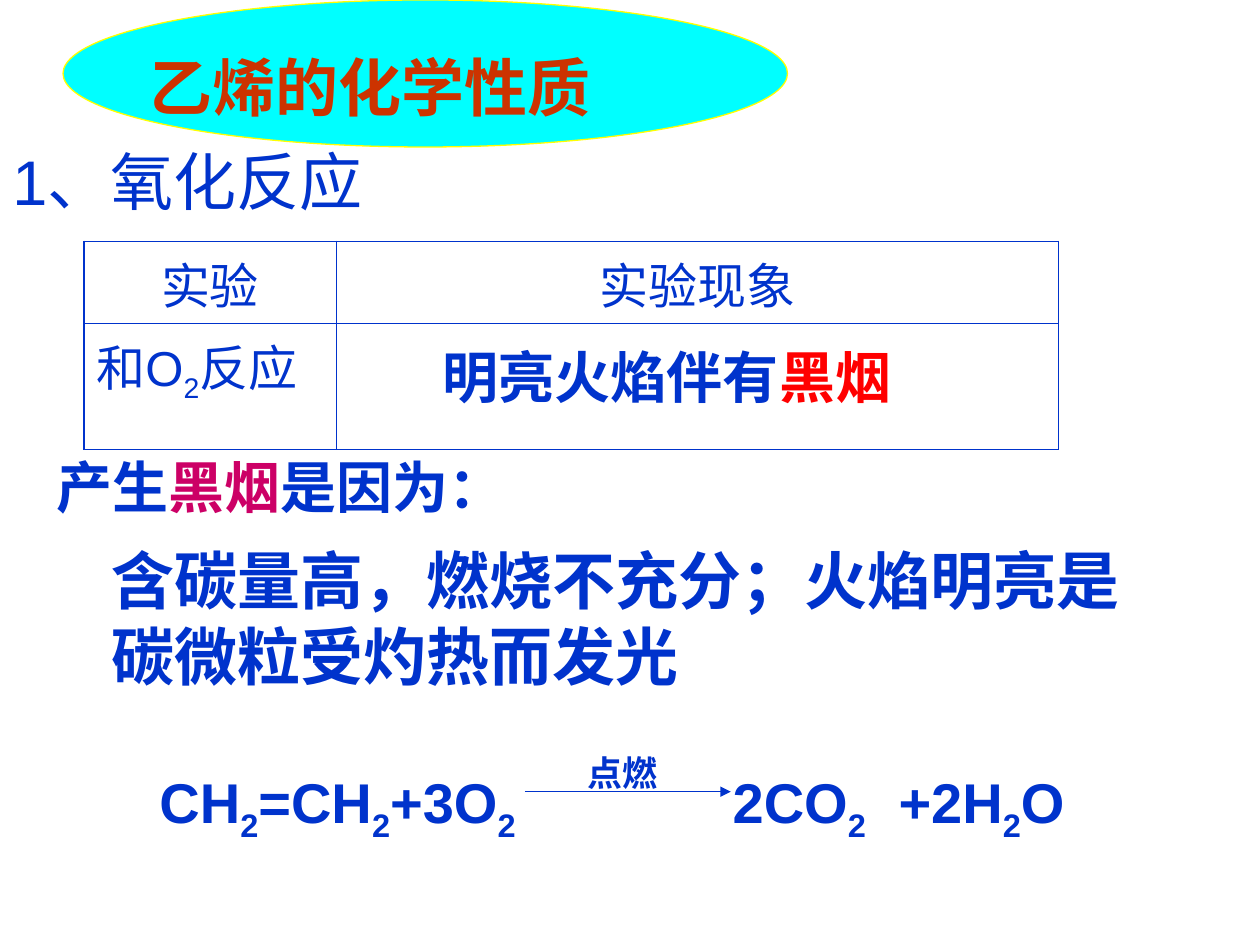
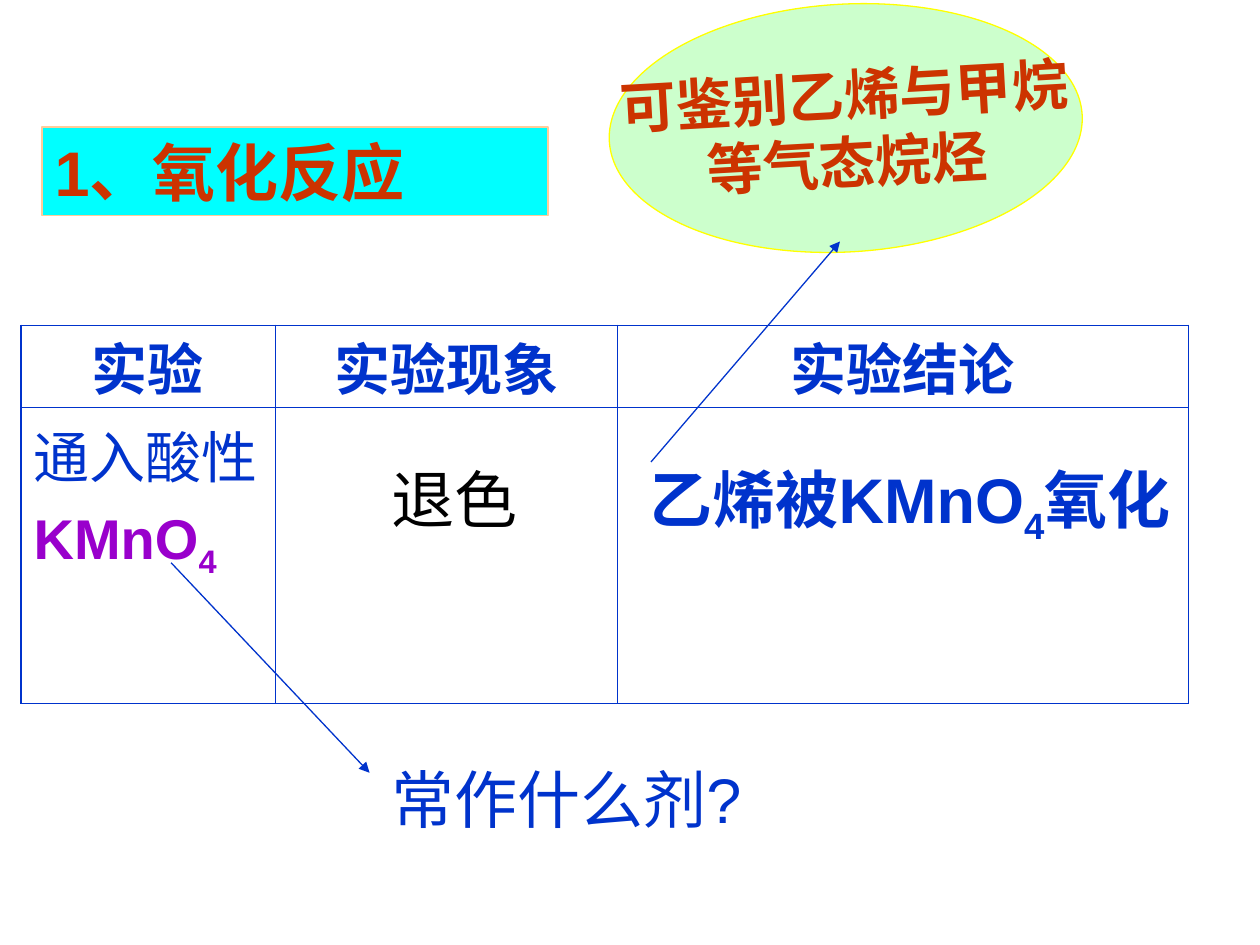
from lxml import etree
from pptx import Presentation
from pptx import util as u
from pptx.dml.color import RGBColor
from pptx.enum import shapes, text
from pptx.oxml import parse_xml
from pptx.oxml.ns import nsdecls, qn

BLUE = RGBColor(0x00, 0x33, 0xCC)
RUST = RGBColor(0xCC, 0x33, 0x00)
RED = RGBColor(0xFF, 0x00, 0x00)
MAGENTA = RGBColor(0xCC, 0x00, 0x66)
PURPLE = RGBColor(0x99, 0x00, 0xCC)
BLACK = RGBColor(0x00, 0x00, 0x00)
CYAN = RGBColor(0x00, 0xFF, 0xFF)
MINT = RGBColor(0xCC, 0xFF, 0xCC)
YELLOW = RGBColor(0xFF, 0xFF, 0x00)
PEACH = RGBColor(0xFF, 0xCC, 0x99)

LEFT, CENTER = text.PP_ALIGN.LEFT, text.PP_ALIGN.CENTER
THIN, THICK = u.Pt(0.45), u.Pt(1.08)

deck = Presentation()
deck.slide_width, deck.slide_height = u.Inches(10), u.Inches(7.5)
UNIT = deck.slide_width / 120  # the grid has 120 columns and 90 rows


def grid(*counts):
    """Turn counts of grid columns or rows into lengths."""
    return [u.Emu(round(count * UNIT)) for count in counts]


def write(frame, paragraphs, size, align=LEFT, gap=0, tabs=(), **look):
    """Fill a frame; each paragraph lists (words, changes), _x_ is a subscript."""
    base = {"name": "Arial", "size": u.Pt(size), "bold": False, "color": BLUE} | look
    for number, spans in enumerate(paragraphs):
        para = frame.add_paragraph() if number else frame.paragraphs[0]
        if tabs:
            stops = etree.SubElement(para._p.get_or_add_pPr(), qn("a:tabLst"))
            for stop in grid(*tabs):
                etree.SubElement(stops, qn("a:tab"), pos=str(stop), algn="l")
        para.alignment = align
        if number and gap:
            para.space_before = u.Pt(gap)
        for words, changes in spans:
            style = base | changes
            for index, piece in enumerate(words.split("_")):
                if not piece:
                    continue
                span = para.add_run()
                span.text = piece
                for key in ("name", "size", "bold"):
                    setattr(span.font, key, style[key])
                span.font.color.rgb = style["color"]
                if index % 2:
                    span.font._element.set("baseline", "-25000")


# Content of the two slides, all places in grid units
pages = [
    {
        "title": ("乙烯的化学性质", (13, 4, 58, 8.4), "Times New Roman", None),
        "table": {
            "corner": (8, 23), "columns": (24, 68.8), "rows": (7.8, 12),
            "size": 28, "head_bold": False, "head_top": 0.6, "gap": 7, "bottom": THICK,
            "head": ["实验", "实验现象"],
            "body": [[("和O_2_反应", {})]],
        },
        "oval": ((6, 0, 69, 14), CYAN, 0, []),
        "boxes": [
            ((41, 32, 68, 7.7), True, 32, {"bold": True},
             [[("明亮火焰伴有", {}), ("黑烟", {"color": RED})]]),
            ((4.2, 42.5, 106, 7.7), True, 32, {"bold": True, "name": "Times New Roman"},
             [[("产生", {}), ("黑烟", {"color": MAGENTA}), ("是因为：", {})]]),
            ((9.4, 51, 98.4, 15.6), False, 36, {"bold": True},
             [[("含碳量高，燃烧不充分；火焰明亮是", {})], [("碳微粒受灼热而发光", {})]]),
            ((0, 13, 48.2, 8.4), True, 36, {}, [[("1、氧化反应", {})]]),
        ],
        "equation": [
            ((14, 72.5, 103, 8.5), True, 32, {"bold": True, "tabs": (54.6, 70.4)},
             [[("CH_2_=CH_2_+3O_2_\t2CO_2_\t+2H_2_O", {})]]),
            ((54.8, 71, 11, 5.3), True, 20, {"bold": True}, [[("点燃", {})]]),
        ],
        "arrows": [(50, 75.4, 69.6, 75.4)],
    },
    {
        "title": ("1、氧化反应", (4, 12.1, 48.2, 8.4), "Arial", CYAN),
        "table": {
            "corner": (2, 31), "columns": (24.2, 32.6, 54.4), "rows": (7.8, 28.2),
            "size": 32, "head_bold": True, "head_top": 0, "gap": 8, "bottom": THIN,
            "head": ["实验", "实验现象", "实验结论"],
            "body": [[("通入酸性", {})], [("KMnO_4_", {"color": PURPLE, "bold": True})]],
        },
        "oval": ((58, 0.4, 45.1, 23.6), MINT, 356.8,
                 [[("可鉴别乙烯与甲烷", {})], [("等气态烷烃", {})]]),
        "boxes": [
            ((36.1, 43.3, 17, 8.4), True, 36, {"color": BLACK}, [[("退色", {})]]),
            ((60.7, 43.3, 52.9, 16.7), True, 36, {"bold": True},
             [[("乙烯被KMnO_4_氧化", {})]]),
            ((36.1, 71.8, 37.2, 8.4), False, 36, {}, [[("常作什么剂?", {})]]),
        ],
        "equation": [],
        "arrows": [(16.3, 53.6, 35.2, 73.6), (62, 44, 80, 23)],
    },
]

for content in pages:
    page = deck.slides.add_slide(deck.slide_layouts[5])

    # Oval
    place, color, turn, lines = content["oval"]
    oval = page.shapes.add_shape(shapes.MSO_SHAPE.OVAL, *grid(*place))
    oval.shadow.inherit = False
    oval.rotation = turn
    oval.fill.solid()
    oval.fill.fore_color.rgb = color
    oval.line.color.rgb, oval.line.width = YELLOW, u.Pt(0.75)
    oval.text_frame.word_wrap = False
    oval.text_frame.vertical_anchor = text.MSO_ANCHOR.MIDDLE
    write(oval.text_frame, lines, 32, CENTER, bold=True, color=RUST)

    # Title, in front of the oval
    words, place, name, fill = content["title"]
    title = page.shapes.title
    title.element.getparent().append(title.element)
    title.left, title.top, title.width, title.height = grid(*place)
    title.text_frame.word_wrap = True
    title.text_frame.auto_size = text.MSO_AUTO_SIZE.NONE
    title.text_frame.vertical_anchor = text.MSO_ANCHOR.TOP
    if fill:
        title.fill.solid()
        title.fill.fore_color.rgb = fill
        title.line.color.rgb, title.line.width = PEACH, u.Pt(0.75)
    write(title.text_frame, [[(words, {})]], 36, bold=True, color=RUST, name=name)

    # Table of experiments, with tight header cells so the rows keep their height
    plan = content["table"]
    columns, rows = plan["columns"], plan["rows"]
    table = page.shapes.add_table(len(rows), len(columns), *grid(
        *plan["corner"], sum(columns), sum(rows))).table
    table.first_row = table.horz_banding = False
    for column, width in zip(table.columns, grid(*columns)):
        column.width = width
    for row, height in zip(table.rows, grid(*rows)):
        row.height = height
    for r in range(len(rows)):
        for c in range(len(columns)):
            cell = table.cell(r, c)
            cell.fill.background()
            if r == 0:
                cell.margin_top, cell.margin_bottom = grid(plan["head_top"], 0)
                write(cell.text_frame, [[(plan["head"][c], {})]], plan["size"],
                      CENTER, bold=plan["head_bold"])
            elif c == 0:
                write(cell.text_frame, plan["body"], plan["size"], gap=plan["gap"])
            borders = {
                "L": THIN if c else THICK,
                "R": THICK if c == len(columns) - 1 else THIN,
                "T": THIN if r else THICK,
                "B": plan["bottom"] if r == len(rows) - 1 else THIN,
            }
            for index, (side, width) in enumerate(borders.items()):
                cell._tc.get_or_add_tcPr().insert(index, parse_xml(
                    f'<a:ln{side} {nsdecls("a")} w="{width}"><a:solidFill>'
                    f'<a:srgbClr val="{BLUE}"/></a:solidFill></a:ln{side}>'))

    # Text boxes, with the equation and its arrow in a group
    group = page.shapes.add_group_shape() if content["equation"] else page
    for owner, boxes in ((page, content["boxes"]), (group, content["equation"])):
        for place, wrap, size, look, lines in boxes:
            box = owner.shapes.add_textbox(*grid(*place))
            box.text_frame.word_wrap = wrap
            box.text_frame.auto_size = text.MSO_AUTO_SIZE.SHAPE_TO_FIT_TEXT
            write(box.text_frame, lines, size, **look)

    # Arrows
    for ends in content["arrows"]:
        arrow = group.shapes.add_connector(shapes.MSO_CONNECTOR.STRAIGHT, *grid(*ends))
        arrow.line.color.rgb, arrow.line.width = BLUE, u.Pt(0.75)
        etree.SubElement(arrow.line._get_or_add_ln(), qn("a:tailEnd"), type="triangle")
        etree.SubElement(arrow._element.spPr, qn("a:effectLst"))

deck.save("out.pptx")
